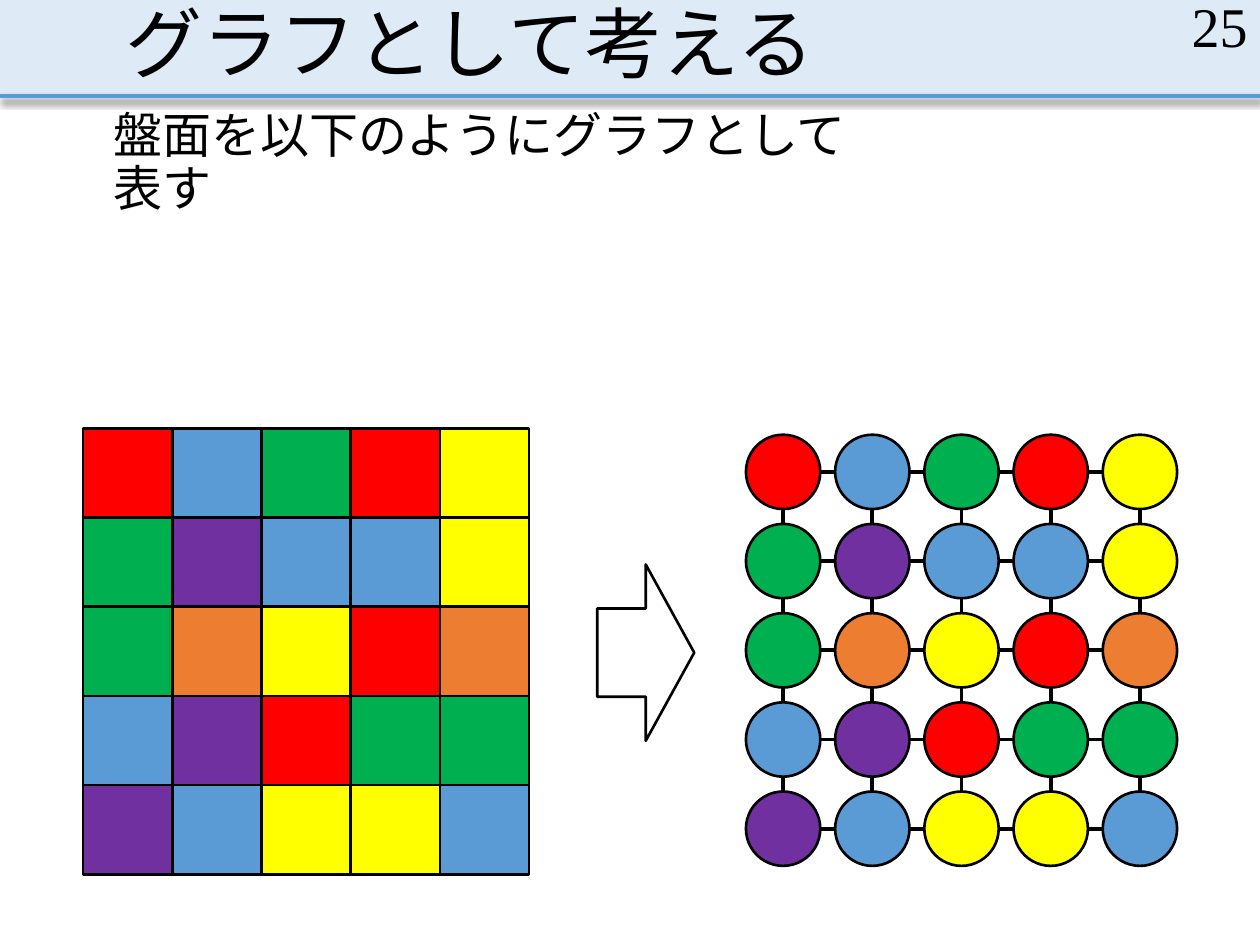
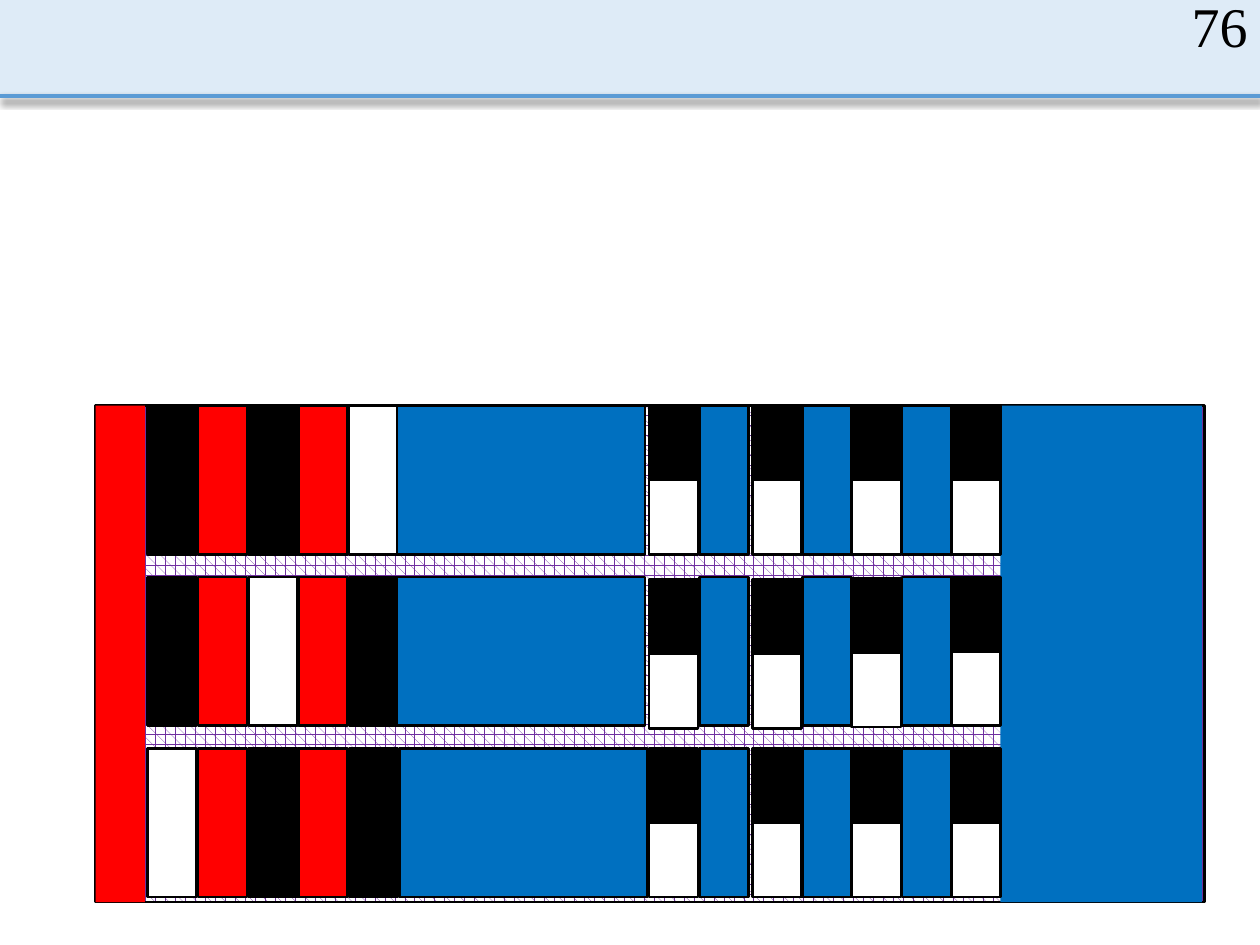
from dataclasses import dataclass

from pptx import Presentation
from pptx import oxml
from pptx import util as u
from pptx.dml.color import RGBColor
from pptx.enum import dml, lang, shapes, text
from pptx.oxml import ns

BOARD = {
    "page": "25",
    "title": "グラフとして考える",
    "body": "盤面を以下のようにグラフとして表す",
    "colors": ["RBGRY", "GPBBY", "GOYRO", "BPRGG", "PBYYB"],
}
STRIPES = {
    "page": "76",
    "row_tops": [3.22, 4.58, 5.94],
    "bars": ["KRKRW", "KRWRK", "WRKRK"],
    "wide_lefts": [3.15, 3.15, 3.17],
    "gap_lefts": [5.55, 6.37, 7.16],
    "pair_lefts": [5.15, 5.97, 6.76, 7.55],
    "pair_drops": [(0, 0, 0, 0), (0.02, 0.02, 0.01, 0), (0, 0, 0, 0)],
}


@dataclass(frozen=True)
class Theme:
    font: str = "Times New Roman"
    title_size: int = 44
    page_size: int = 32
    body_size: int = 28
    black: str = "000000"
    white: str = "FFFFFF"
    red: str = "FF0000"
    blue: str = "5B9BD5"
    green: str = "00B050"
    yellow: str = "FFFF00"
    purple: str = "7030A0"
    orange: str = "ED7D31"
    deep_blue: str = "0070C0"
    band: str = "DEEBF7"
    outline: float = 1.5
    rule: float = 2.25


THEME = Theme()
COLORS = {
    "R": THEME.red, "B": THEME.blue, "G": THEME.green, "Y": THEME.yellow,
    "P": THEME.purple, "O": THEME.orange, "K": THEME.black, "W": THEME.white,
}
RECTANGLE = shapes.MSO_SHAPE.RECTANGLE
BAND_HEIGHT = 0.76
BAND_SHADOW = (
    '<a:outerShdw blurRad="50800" dist="31750" dir="5400000" algn="t" rotWithShape="0">'
    '<a:srgbClr val="000000"><a:alpha val="47000"/></a:srgbClr></a:outerShdw>'
)


def rgb(color):
    return RGBColor.from_string(color)


def add_box(parent, left, top, width, height, color, kind=RECTANGLE, outlined=True):
    shape = parent.shapes.add_shape(kind, *map(u.Inches, (left, top, width, height)))
    shape.shadow.inherit = False
    shape.fill.solid()
    shape.fill.fore_color.rgb = rgb(color)
    if outlined:
        shape.line.color.rgb = rgb(THEME.black)
        shape.line.width = u.Pt(THEME.outline)
    else:
        shape.line.fill.background()
    return shape


def add_line(slide, start, end, color=THEME.black, effect=""):
    line = slide.shapes.add_connector(
        shapes.MSO_CONNECTOR.STRAIGHT, *map(u.Inches, (*start, *end)))
    line.line.color.rgb = rgb(color)
    line.line.width = u.Pt(THEME.rule)
    line._element.spPr.append(
        oxml.parse_xml(f"<a:effectLst {ns.nsdecls('a')}>{effect}</a:effectLst>"))


def add_text(slide, words, box, size, anchor=text.MSO_ANCHOR.TOP,
             align=text.PP_ALIGN.LEFT, side_inset=0.1, spacing=1.0, before=0):
    frame = slide.shapes.add_textbox(*map(u.Inches, box)).text_frame
    frame.word_wrap = True
    frame.vertical_anchor = anchor
    frame.margin_left = frame.margin_right = u.Inches(side_inset)
    paragraph = frame.paragraphs[0]
    paragraph.alignment = align
    paragraph.line_spacing = spacing
    paragraph.space_before = u.Pt(before)
    run = paragraph.add_run()
    run.text = words
    run.font.name = THEME.font
    run.font.size = u.Pt(size)
    run.font.color.rgb = rgb(THEME.black)
    run.font.language_id = lang.MSO_LANGUAGE_ID.JAPANESE


def add_slide(presentation, page):
    slide = presentation.slides.add_slide(presentation.slide_layouts[6])
    add_box(slide, 0, 0, 10, BAND_HEIGHT, THEME.band, outlined=False)
    add_line(slide, (0, BAND_HEIGHT), (10, BAND_HEIGHT), THEME.blue, BAND_SHADOW)
    add_text(slide, page, (7.75, 0, 2.25, 0.4), THEME.page_size,
             anchor=text.MSO_ANCHOR.MIDDLE, align=text.PP_ALIGN.RIGHT)
    return slide


def add_cells(parent, left, top, step, size, kind):
    for row, letters in enumerate(BOARD["colors"]):
        for column, letter in enumerate(letters):
            add_box(parent, left + column * step, top + row * step,
                    size, size, COLORS[letter], kind)


def add_graph(slide, left, top, step, diameter):
    count = len(BOARD["colors"])
    reach = (count - 1) * step
    for index in range(count):
        middle = index * step + diameter / 2
        add_line(slide, (left + diameter, top + middle), (left + reach, top + middle))
        add_line(slide, (left + middle, top + diameter), (left + middle, top + reach))
    add_cells(slide, left, top, step, diameter, shapes.MSO_SHAPE.OVAL)


def build_board_slide(presentation):
    slide = add_slide(presentation, BOARD["page"])
    add_text(slide, BOARD["title"], (0.9, 0, 8.25, BAND_HEIGHT), THEME.title_size,
             anchor=text.MSO_ANCHOR.BOTTOM, spacing=0.9)
    add_text(slide, BOARD["body"], (0.9, 0.83, 6.02, 0.63), THEME.body_size,
             side_inset=0, spacing=0.9, before=10)
    step = 3.54 / len(BOARD["colors"])
    add_cells(slide.shapes.add_group_shape(), 0.66, 3.4, step, step, RECTANGLE)
    add_graph(slide, 5.92, 3.45, step, 0.59)
    add_box(slide, 4.74, 4.48, 0.77, 1.4, THEME.white, shapes.MSO_SHAPE.RIGHT_ARROW)


def build_stripes_slide(presentation):
    slide = add_slide(presentation, STRIPES["page"])
    top, height = 3.22, 3.94
    row_height, bar_width, bar_step = 1.18, 0.39, 0.4
    half = row_height / 2

    plaid = add_box(slide, 0.76, top, 8.8, height, THEME.white)
    plaid.fill.patterned()
    plaid.fill.pattern = dml.MSO_PATTERN.PLAID
    plaid.fill.fore_color.rgb = rgb(THEME.purple)
    plaid.fill.back_color.rgb = rgb(THEME.white)
    add_box(slide, 0.76, top, bar_width, height, THEME.red, outlined=False)
    add_box(slide, 7.94, top, 1.6, height, THEME.deep_blue, outlined=False)

    rows = zip(STRIPES["row_tops"], STRIPES["bars"],
               STRIPES["wide_lefts"], STRIPES["pair_drops"])
    for row_top, letters, wide_left, drops in rows:
        for index, letter in enumerate(letters):
            add_box(slide, 1.17 + index * bar_step, row_top,
                    bar_width, row_height, COLORS[letter])
        for left in STRIPES["gap_lefts"]:
            add_box(slide, left, row_top, bar_width, row_height, THEME.deep_blue)
        for left, drop in zip(STRIPES["pair_lefts"], drops):
            for part, color in enumerate((THEME.black, THEME.white)):
                add_box(slide, left, row_top + drop + part * half, bar_width, half, color)
        add_box(slide, wide_left, row_top, 1.97, row_height, THEME.deep_blue)


def main():
    presentation = Presentation()
    presentation.slide_width = u.Inches(10)
    presentation.slide_height = u.Inches(7.5)
    build_board_slide(presentation)
    build_stripes_slide(presentation)
    presentation.save("out.pptx")


if __name__ == "__main__":
    main()
